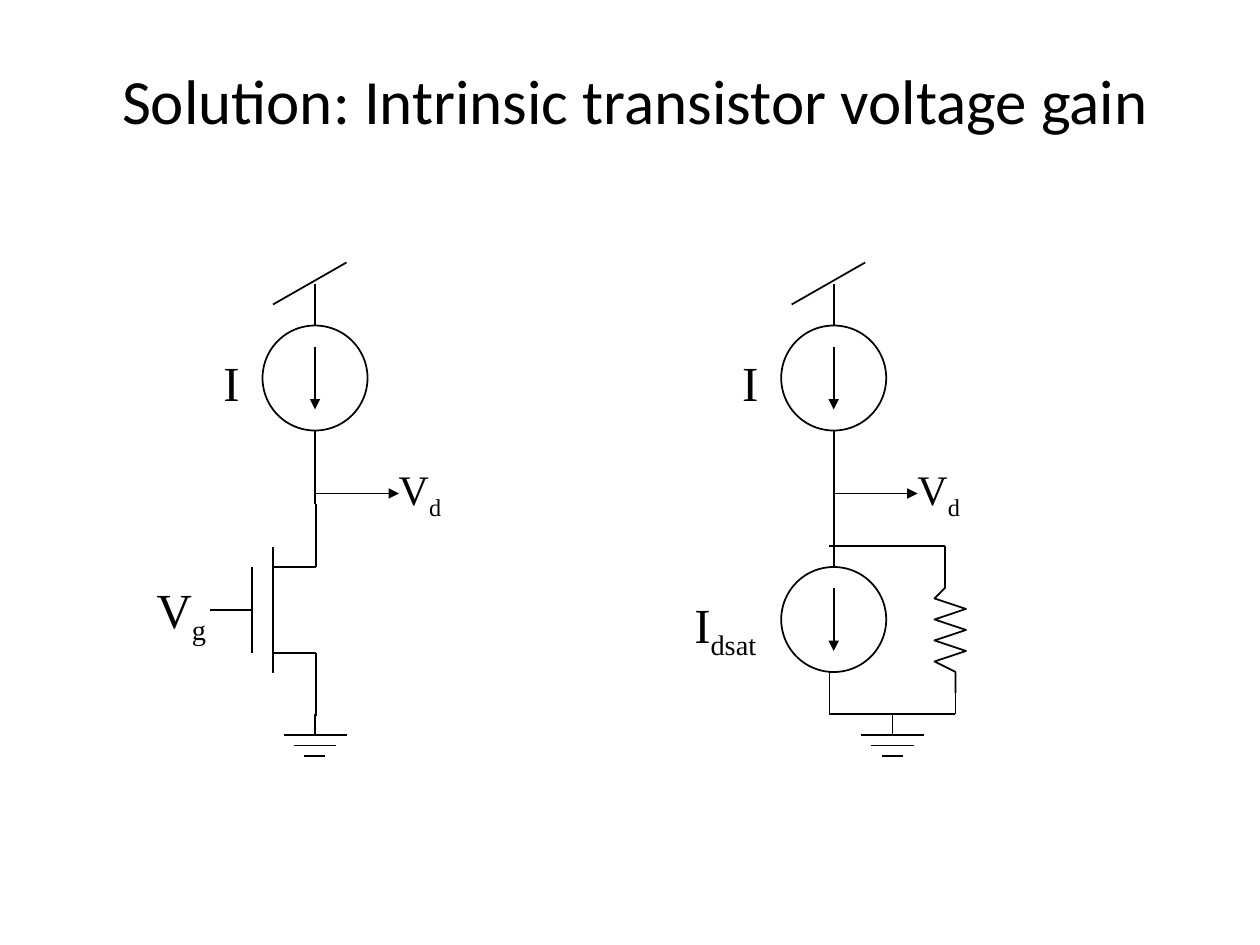
"""Build a slide comparing a transistor stage with its small equivalent circuit."""
from typing import NamedTuple

from lxml import etree
from pptx import Presentation
from pptx import util as u
from pptx.dml.color import RGBColor
from pptx.enum import shapes, text
from pptx.oxml.ns import qn

EMU_PER_PX = 7620
BLACK = "000000"
LEFT_X, RIGHT_X, RIGHT_GROUND_X = 300, 794, 850
SOURCE_SIZE = 100


class Wire(NamedTuple):
    x1: int
    y1: int
    x2: int
    y2: int
    arrow: bool = False


class Label(NamedTuple):
    x: int
    y: int
    width: int
    height: int
    letter: str
    subscript: str = ""
    size: int = 28
    align: text.PP_ALIGN = text.PP_ALIGN.RIGHT
    wrap: bool = False


SUPPLY = [Wire(0, 310, 0, 270), Wire(-40, 290, 30, 250)]
OUTPUT = Wire(0, 470, 80, 470, arrow=True)
GROUND = [Wire(0, 680, 0, 700)] + [
    Wire(-half, y, half, y) for half, y in ((30, 700), (20, 710), (10, 720))
]
TRANSISTOR = [
    Wire(1, 480, 1, 540), Wire(1, 540, -40, 540), Wire(-40, 521, -40, 641),
    Wire(-40, 622, 1, 622), Wire(1, 622, 1, 682), Wire(-60, 540, -60, 622),
    Wire(-60, 581, -100, 581),
]
RESISTOR_LOOP = [
    Wire(790, 680, 790, 640), Wire(790, 680, 910, 680), Wire(910, 680, 910, 660),
    Wire(790, 520, 900, 520), Wire(900, 540, 900, 520),
]
ZIGZAG = [(890 + 30 * (i % 2), 570 + 10 * i) for i in range(7)]
RESISTOR = [(900, 540), (900, 560), *ZIGZAG, (910, 640), (910, 660)]


def px(length: int) -> u.Emu:
    """Turn pixels into EMU."""
    return u.Emu(length * EMU_PER_PX)


def color(value: str) -> RGBColor:
    """Turn a hex string into a colour."""
    return RGBColor.from_string(value)


def style_line(shape) -> None:
    """Give a shape or connector the thin black outline."""
    shape.line.color.rgb = color(BLACK)
    shape.line.width = u.Pt(1)


def style_outline(shape) -> None:
    """Leave a shape unfilled and without shadow."""
    shape.shadow.inherit = False
    shape.fill.background()
    style_line(shape)


def draw_wires(slide, wires: list[Wire], x: int = 0) -> None:
    """Draw wires shifted right by x."""
    for wire in wires:
        connector = slide.shapes.add_connector(
            shapes.MSO_CONNECTOR.STRAIGHT,
            px(x + wire.x1), px(wire.y1), px(x + wire.x2), px(wire.y2))
        style_line(connector)
        if wire.arrow:
            outline = connector.line._get_or_add_ln()
            etree.SubElement(outline, qn("a:tailEnd"), type="triangle")
        etree.SubElement(connector._element.spPr, qn("a:effectLst"))


def draw_source(slide, x: int, top: int) -> None:
    """Draw a current source centred on x."""
    circle = slide.shapes.add_shape(
        shapes.MSO_SHAPE.OVAL, px(x - SOURCE_SIZE // 2), px(top),
        px(SOURCE_SIZE), px(SOURCE_SIZE))
    style_outline(circle)
    draw_wires(slide, [Wire(0, top + 20, 0, top + 80, arrow=True)], x)


def draw_resistor(slide) -> None:
    """Draw the zigzag resistor."""
    builder = slide.shapes.build_freeform(*RESISTOR[0], scale=EMU_PER_PX)
    builder.add_line_segments(RESISTOR[1:], close=False)
    style_outline(builder.convert_to_shape())


def add_run(paragraph, content: str, *, size: int, font: str = "Times New Roman",
            fill: str = BLACK, subscript: bool = False) -> None:
    """Add formatted text to a paragraph."""
    run = paragraph.add_run()
    run.text = content
    run.font.size = u.Pt(size)
    run.font.name = font
    run.font.color.rgb = color(fill)
    if subscript:
        run._r.get_or_add_rPr().set("baseline", "-25000")


def draw_label(slide, label: Label) -> None:
    """Draw a symbol with its optional subscript."""
    box = slide.shapes.add_textbox(
        px(label.x), px(label.y), px(label.width), px(label.height))
    frame = box.text_frame
    frame.word_wrap = label.wrap
    frame.auto_size = text.MSO_AUTO_SIZE.SHAPE_TO_FIT_TEXT
    paragraph = frame.paragraphs[0]
    paragraph.alignment = label.align
    add_run(paragraph, label.letter, size=label.size)
    if label.subscript:
        add_run(paragraph, label.subscript, size=label.size, subscript=True)


def draw_upper_stage(slide, x: int, wire_end: int) -> None:
    """Draw the supply, upper current source and output."""
    draw_wires(slide, [*SUPPLY, Wire(0, 410, 0, wire_end), OUTPUT], x)
    draw_source(slide, x, 310)
    draw_label(slide, Label(x - 100, 330, 40, 68, "I"))
    draw_label(slide, Label(x + 67, 436, 66, 60, "V", "d", 24, text.PP_ALIGN.CENTER))


def set_title(slide, content: str) -> None:
    """Place and format the title."""
    title = slide.shapes.title
    title.left, title.top, title.width, title.height = map(px, (20, 20, 1170, 150))
    title.text_frame.vertical_anchor = text.MSO_ANCHOR.MIDDLE
    paragraph = title.text_frame.paragraphs[0]
    paragraph.alignment = text.PP_ALIGN.CENTER
    add_run(paragraph, content, size=36, font="Calibri")


def main() -> None:
    """Build and save the presentation."""
    presentation = Presentation()
    presentation.slide_width, presentation.slide_height = px(1200), px(900)
    slide = presentation.slides.add_slide(presentation.slide_layouts[5])
    set_title(slide, "Solution: Intrinsic transistor voltage gain")

    draw_upper_stage(slide, LEFT_X, 480)
    draw_wires(slide, TRANSISTOR, LEFT_X)
    draw_wires(slide, GROUND, LEFT_X)
    draw_label(slide, Label(106, 546, 102, 68, "V", "g", wrap=True))

    draw_upper_stage(slide, RIGHT_X, 539)
    draw_source(slide, RIGHT_X, 540)
    draw_wires(slide, RESISTOR_LOOP)
    draw_resistor(slide)
    draw_wires(slide, GROUND, RIGHT_GROUND_X)
    draw_label(slide, Label(640, 560, 92, 68, "I", "dsat", wrap=True))

    presentation.save("out.pptx")


if __name__ == "__main__":
    main()
